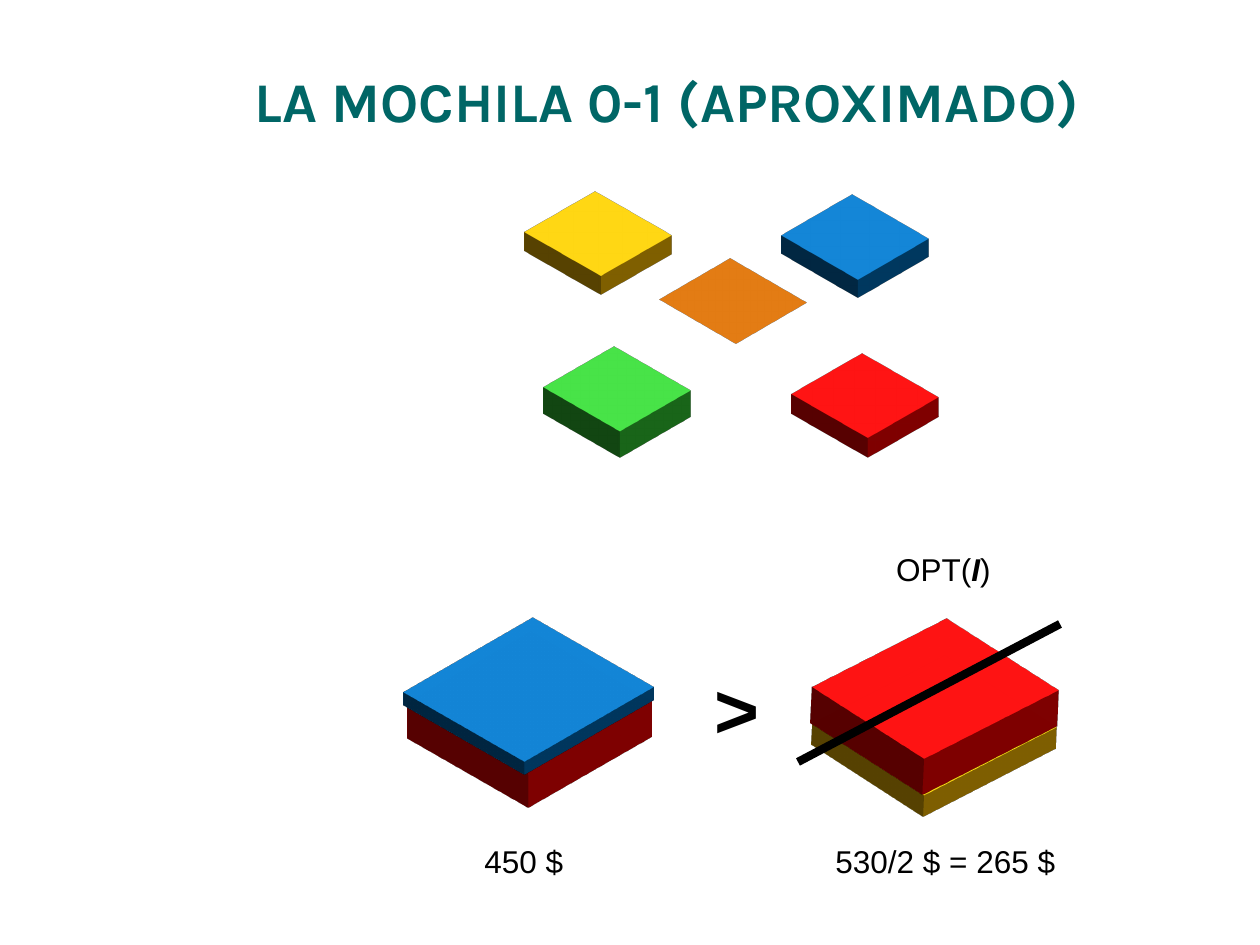
import pptx
import pptx.util
import pptx.dml.color
import pptx.enum.shapes
import pptx.enum.text
import pptx.oxml
import pptx.oxml.ns

COLORS = {
    "title": "006666", "text": "000000", "orange": "CC6600", "yellow": "FFC000",
    "blue": "0070C0", "red": "FF0000", "green": "33CC33",
}
PX = 914400 / 126
ANCHOR = pptx.enum.text.MSO_ANCHOR
ALIGN = pptx.enum.text.PP_ALIGN
AUTO = pptx.enum.text.MSO_AUTO_SIZE


def px(n):
    return pptx.util.Emu(round(n * PX))


def rgb(name):
    return pptx.dml.color.RGBColor.from_string(COLORS[name])


def add_xml(parent, xml):
    ns = pptx.oxml.ns.nsdecls("a")
    parent.append(pptx.oxml.parse_xml(xml.replace("/>", f" {ns}/>", 1) if xml.count("<") == 1
                                      else xml.replace(">", f" {ns}>", 1)))


class Deck:
    def __init__(self, prs):
        self.prs = prs
        self.s = prs.slides.add_slide(prs.slide_layouts[1])

    def place(self, sp, box):
        sp.left, sp.top, sp.width, sp.height = map(px, box)

    def style(self, p, size, color="text", font="Arial", bold=False):
        p.font.size = pptx.util.Pt(size)
        p.font.name = font
        p.font.bold = bold
        p.font.color.rgb = rgb(color)

    def title(self, text, box):
        sp = self.s.shapes.title
        self.place(sp, box)
        tf = sp.text_frame
        tf.text = text
        tf.auto_size = AUTO.NONE
        tf.vertical_anchor = ANCHOR.MIDDLE
        p = tf.paragraphs[0]
        p.alignment = ALIGN.LEFT
        self.style(p, 32, "title", "Karla", True)

    def body(self, parts, box):
        sp = self.s.placeholders[1]
        self.place(sp, box)
        tf = sp.text_frame
        tf.auto_size = AUTO.NONE
        p = tf.paragraphs[0]
        p.alignment = ALIGN.CENTER
        p.space_before = pptx.util.Pt(0)
        pPr = p._p.get_or_add_pPr()
        pPr.set("marL", str(px(48)))
        pPr.set("indent", str(-px(48)))
        add_xml(pPr, "<a:buNone/>")
        self.style(p, 18)
        for text, strong in parts:
            r = p.add_run()
            r.text = text
            r.font.bold = r.font.italic = strong

    def label(self, text, box, size=18, bold=False):
        sp = self.s.shapes.add_textbox(*map(px, box))
        tf = sp.text_frame
        tf.word_wrap = False
        tf.auto_size = AUTO.SHAPE_TO_FIT_TEXT
        p = tf.paragraphs[0]
        p.text = text
        p.line_spacing = 0.8
        self.style(p, size, bold=bold)

    def blocks(self, items, rotation=0):
        group = self.s.shapes.add_group_shape()
        for color, box, depth in items:
            sp = group.shapes.add_shape(pptx.enum.shapes.MSO_SHAPE.RECTANGLE, *map(px, box))
            sp.rotation = rotation
            sp.fill.solid()
            sp.fill.fore_color.rgb = rgb(color)
            sp.line.fill.background()
            sp.shadow.inherit = False
            spPr = sp._element.spPr
            add_xml(spPr, '<a:scene3d><a:camera prst="isometricTopUp"/>'
                          '<a:lightRig rig="threePt" dir="t"/></a:scene3d>')
            if depth:
                add_xml(spPr, f'<a:sp3d extrusionH="{px(depth)}"/>')

    def line(self, x1, y1, x2, y2, width):
        ln = self.s.shapes.add_connector(
            pptx.enum.shapes.MSO_CONNECTOR.STRAIGHT, *map(px, (x1, y1, x2, y2)))
        ln.line.color.rgb = rgb("text")
        ln.line.width = pptx.util.Pt(width)
        add_xml(ln._element.spPr, "<a:effectLst/>")


def main():
    prs = pptx.Presentation()
    prs.slide_width, prs.slide_height = pptx.util.Inches(10), pptx.util.Inches(7.5)
    deck = Deck(prs)
    deck.title("LA MOCHILA 0-1 (APROXIMADO)", (242, 42, 966, 116))

    small = [("orange", 683, 247, 0), ("yellow", 548, 180, 23), ("blue", 805, 183, 22),
             ("red", 815, 342, 24), ("green", 567, 335, 32)]
    deck.blocks([(color, (x, y, 100, 108), depth) for color, x, y, depth in small])
    deck.blocks([("red", (442, 616, 175, 171), 44), ("blue", (437, 604, 183, 171), 16)])
    deck.label("450 $", (472, 843, 105, 43))
    deck.label(">", (702, 673, 70, 87), 44, True)
    deck.blocks([("yellow", (843, 644, 183, 163), 26), ("red", (843, 607, 185, 163), 44)], 2.8)
    deck.label("530/2 $ = 265 $", (823, 843, 247, 43))
    deck.body([("OPT(", False), ("I", True), (")", False)], (803, 544, 281, 48))
    deck.line(1060, 624, 798, 762, 4.75)
    prs.save("out.pptx")


if __name__ == "__main__":
    main()
